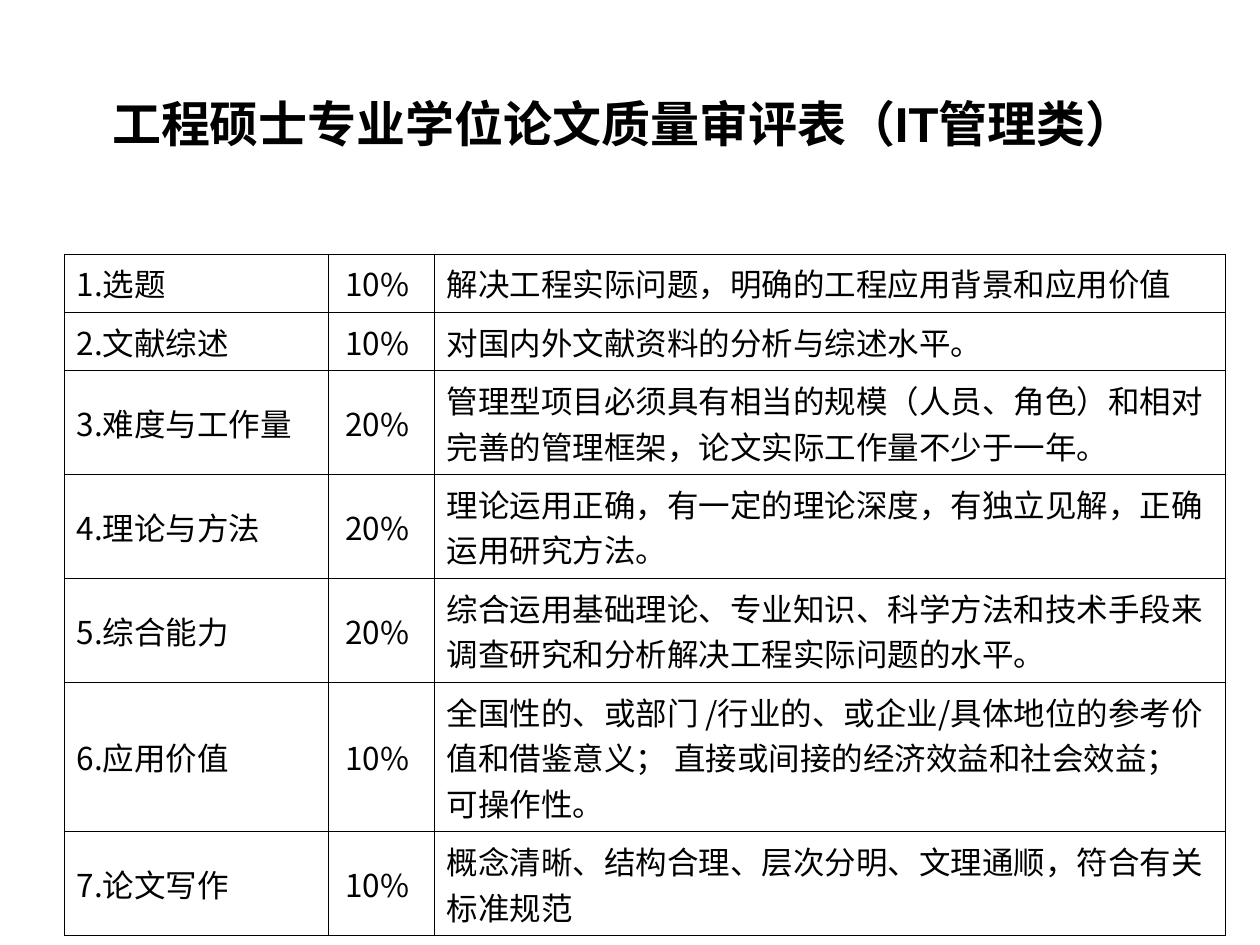
from dataclasses import dataclass

from lxml import etree
from pptx import Presentation
from pptx.dml.color import RGBColor
from pptx.enum.text import MSO_ANCHOR, MSO_AUTO_SIZE, PP_ALIGN
from pptx.oxml.ns import qn
from pptx.util import Emu, Pt

LEFT, CENTER = PP_ALIGN.LEFT, PP_ALIGN.CENTER
MIDDLE = MSO_ANCHOR.MIDDLE
NO_AUTOFIT = MSO_AUTO_SIZE.NONE
PX_PER_INCH = 126
TITLE_ONLY = 5


@dataclass(frozen=True)
class Theme:
    ink: str = "000000"
    latin_font: str = "Arial"
    cjk_font: str = "Noto Sans CJK SC"
    title_size: int = 28
    title_end_size: int = 40
    body_size: int = 18
    border_width: float = 0.45


@dataclass(frozen=True)
class Criterion:
    name: str
    weight: str
    standard: str
    height: int


THEME = Theme()
COLUMN_WIDTHS = (264, 106, 791)
COLUMN_ALIGNS = (LEFT, CENTER, LEFT)
ONE_LINE, TWO_LINES, THREE_LINES = 58, 104, 149

CRITERIA = (
    Criterion("1.选题", "10% ", "解决工程实际问题，明确的工程应用背景和应用价值", ONE_LINE),
    Criterion("2.文献综述", "10% ", "对国内外文献资料的分析与综述水平。", ONE_LINE),
    Criterion("3.难度与工作量", "20% ",
              "管理型项目必须具有相当的规模（人员、角色）和相对完善的管理框架，"
              "论文实际工作量不少于一年。", TWO_LINES),
    Criterion("4.理论与方法", "20% ",
              "理论运用正确，有一定的理论深度，有独立见解，正确运用研究方法。", TWO_LINES),
    Criterion("5.综合能力", "20% ",
              "综合运用基础理论、专业知识、科学方法和技术手段来"
              "调查研究和分析解决工程实际问题的水平。", TWO_LINES),
    Criterion("6.应用价值", "10% ",
              "全国性的、或部门 /行业的、或企业/具体地位的参考价值和借鉴意义； "
              "直接或间接的经济效益和社会效益； 可操作性。", THREE_LINES),
    Criterion("7.论文写作", "10% ",
              "概念清晰、结构合理、层次分明、文理通顺，符合有关标准规范", TWO_LINES),
)


def px(n: int) -> Emu:
    return Emu(round(n * 914400 / PX_PER_INCH))


def add_text(p, text: str, *, size: int, font: str, bold: bool = False, align=LEFT) -> None:
    """Append a formatted run to a paragraph."""
    p.alignment = align
    r = p.add_run()
    r.text = text
    r.font.size = Pt(size)
    r.font.name = font
    r.font.bold = bold
    r.font.color.rgb = RGBColor.from_string(THEME.ink)
    ea = etree.Element(qn("a:ea"), typeface=THEME.cjk_font)
    r.font._element.find(qn("a:latin")).addnext(ea)


def set_borders(cell) -> None:
    """Draw a thin line on all four sides of a cell."""
    tc_pr = cell._tc.get_or_add_tcPr()
    for i, side in enumerate(("a:lnL", "a:lnR", "a:lnT", "a:lnB")):
        ln = etree.Element(qn(side), w=str(Pt(THEME.border_width)))
        fill = etree.SubElement(ln, qn("a:solidFill"))
        etree.SubElement(fill, qn("a:srgbClr"), val=THEME.ink)
        tc_pr.insert(i, ln)


def draw_title(slide) -> None:
    sp = slide.shapes.title
    sp.left, sp.top, sp.width, sp.height = px(64), px(35), px(1134), px(158)
    tf = sp.text_frame
    tf.auto_size = NO_AUTOFIT
    tf.vertical_anchor = MIDDLE
    p = tf.paragraphs[0]
    add_text(p, "工程硕士专业学位论文质量审评表（IT管理类）", size=THEME.title_size,
             font=THEME.latin_font, bold=True, align=CENTER)
    add_text(p, " ", size=THEME.title_end_size, font=THEME.latin_font, align=CENTER)


def draw_criteria(slide, criteria: tuple[Criterion, ...]) -> None:
    height = sum(c.height for c in criteria)
    table = slide.shapes.add_table(
        len(criteria), len(COLUMN_WIDTHS), px(64), px(254),
        px(sum(COLUMN_WIDTHS)), px(height)).table
    table.first_row = table.horz_banding = False
    for column, width in zip(table.columns, COLUMN_WIDTHS):
        column.width = px(width)
    for row, c in zip(table.rows, criteria):
        row.height = px(c.height)
        for cell, text, align in zip(row.cells, (c.name, c.weight, c.standard), COLUMN_ALIGNS):
            cell.fill.background()
            cell.vertical_anchor = MIDDLE
            set_borders(cell)
            add_text(cell.text_frame.paragraphs[0], text, size=THEME.body_size,
                     font=THEME.cjk_font, align=align)


def main() -> None:
    prs = Presentation()
    prs.slide_width, prs.slide_height = px(1260), px(945)
    slide = prs.slides.add_slide(prs.slide_layouts[TITLE_ONLY])

    # Heading
    draw_title(slide)

    # Review criteria with weights
    draw_criteria(slide, CRITERIA)

    prs.save("out.pptx")


if __name__ == "__main__":
    main()
